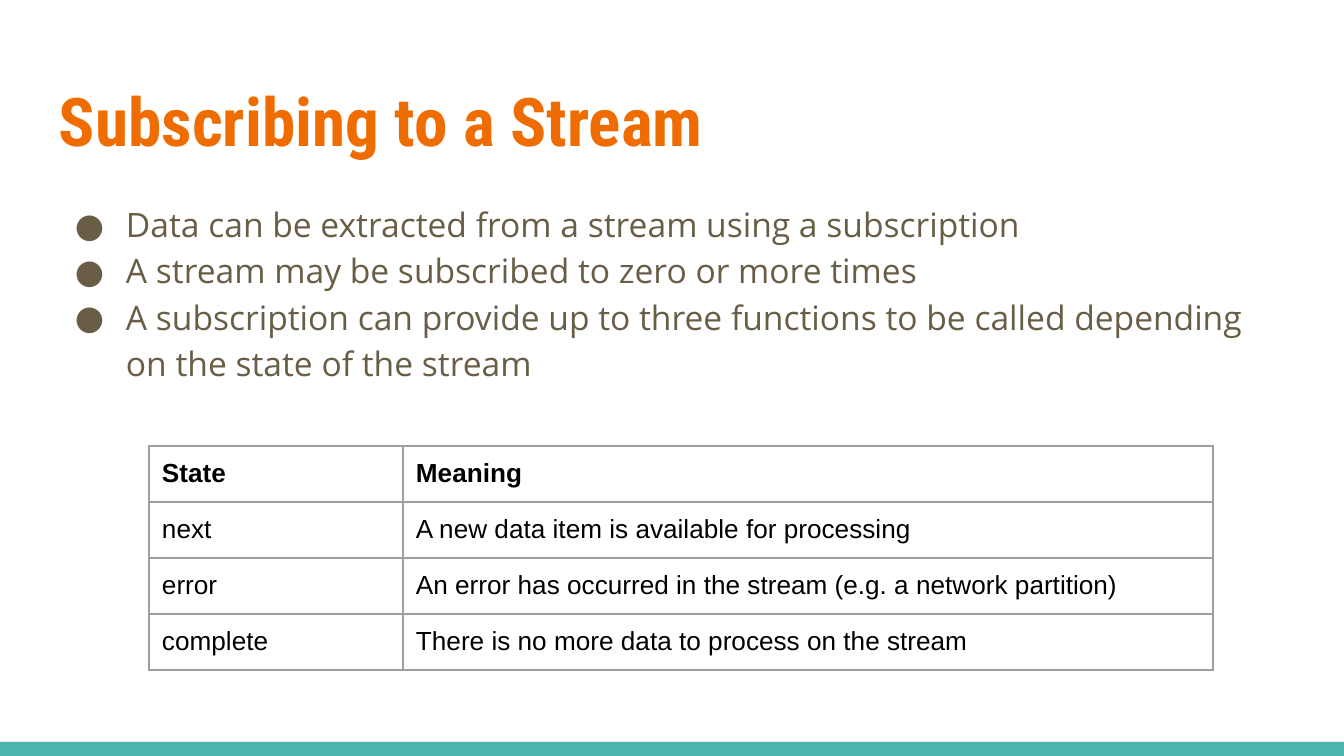
from lxml.etree import SubElement as Sub
from pptx import Presentation
from pptx.dml.color import RGBColor as Rgb
from pptx.enum.shapes import MSO_SHAPE as Kind
from pptx.enum.text import MSO_ANCHOR as Anchor, MSO_AUTO_SIZE as Fit, PP_ALIGN as Align
from pptx.oxml.ns import qn
from pptx.util import Pt

PX = 914400 / 134.4
PAD = 13
HUES = {"bar": "4DB6AC", "title": "EF6C00", "body": "695D46", "text": "000000", "rule": "9E9E9E"}
FONTS = {
    "title": {"name": "Roboto Condensed", "size": Pt(36), "bold": True},
    "body": {"name": "Open Sans", "size": Pt(18), "bold": False},
    "head": {"name": "Arial", "size": Pt(14), "bold": True},
    "cell": {"name": "Arial", "size": Pt(14), "bold": False},
}
POINTS = [
    "Data can be extracted from a stream using a subscription",
    "A stream may be subscribed to zero or more times",
    "A subscription can provide up to three functions to be called depending on the state of the stream",
]
STATES = [
    ("State", "Meaning"),
    ("next", "A new data item is available for processing"),
    ("error", "An error has occurred in the stream (e.g. a network partition)"),
    ("complete", "There is no more data to process on the stream"),
]


def emu(px):
    return round(px * PX)


def assign(item, values):
    for key, value in values.items():
        setattr(item, key, value)


class Page:
    def __init__(self, slide):
        self.slide = slide

    def style(self, para, font, hue):
        para.alignment = Align.LEFT
        for run in para.runs:
            assign(run.font, FONTS[font])
            run.font.color.rgb = Rgb.from_string(HUES[hue])

    def pad(self, item):
        sides = ("left", "top", "right", "bottom")
        assign(item, {f"margin_{side}": emu(PAD) for side in sides})

    def bar(self, *box):
        bar = self.slide.shapes.add_shape(Kind.RECTANGLE, *map(emu, box))
        bar.shadow.inherit = False
        bar.fill.solid()
        bar.fill.fore_color.rgb = Rgb.from_string(HUES["bar"])
        bar.line.fill.background()

    def holder(self, index, lines, role, *box):
        shape = self.slide.placeholders[index]
        assign(shape, dict(zip(("left", "top", "width", "height"), map(emu, box))))
        frame = shape.text_frame
        frame.text = "\n".join(lines)
        assign(frame, {"word_wrap": True, "auto_size": Fit.NONE, "vertical_anchor": Anchor.TOP})
        self.pad(frame)
        for para in frame.paragraphs:
            assign(para, {"space_before": Pt(0), "space_after": Pt(0)})
            self.style(para, role, role)
        return frame

    def title(self, text, *box):
        self.holder(0, [text], "title", *box).paragraphs[0].line_spacing = 1.0

    def bullets(self, lines, *box):
        for para in self.holder(1, lines, "body", *box).paragraphs:
            para.line_spacing = 1.15
            props = para._p.get_or_add_pPr()
            props.set("marL", str(emu(67)))
            props.set("indent", str(-emu(51)))
            hue = Sub(props, qn("a:buClr"))
            Sub(hue, qn("a:srgbClr"), val=HUES["body"])
            Sub(props, qn("a:buFont"), typeface="Open Sans")
            Sub(props, qn("a:buChar"), char="●")

    def border(self, cell):
        props = cell._tc.get_or_add_tcPr()
        for at, side in enumerate(("lnL", "lnR", "lnT", "lnB")):
            line = props.makeelement(qn(f"a:{side}"), {"w": str(Pt(0.75))})
            fill = Sub(line, qn("a:solidFill"))
            Sub(fill, qn("a:srgbClr"), val=HUES["rule"])
            props.insert(at, line)

    def table(self, rows, left, top, widths, height):
        box = map(emu, (left, top, sum(widths), height * len(rows)))
        table = self.slide.shapes.add_table(len(rows), len(widths), *box).table
        assign(table, {"first_row": False, "horz_banding": False})
        for col, width in zip(table.columns, widths):
            col.width = emu(width)
        for r, row in enumerate(rows):
            table.rows[r].height = emu(height)
            for c, text in enumerate(row):
                cell = table.cell(r, c)
                cell.text = text
                cell.fill.background()
                self.pad(cell)
                self.style(cell.text_frame.paragraphs[0], "cell" if r else "head", "text")
                self.border(cell)


def main():
    deck = Presentation()
    assign(deck, {"slide_width": emu(1344), "slide_height": emu(756)})
    page = Page(deck.slides.add_slide(deck.slide_layouts[1]))
    page.bar(0, 742, 1344, 14)
    page.title("Subscribing to a Stream", 46, 66, 1253, 103)
    page.bullets(POINTS, 46, 185, 1253, 485)
    page.table(STATES, 149, 446, (254, 810), 56)
    deck.save("out.pptx")


if __name__ == "__main__":
    main()
